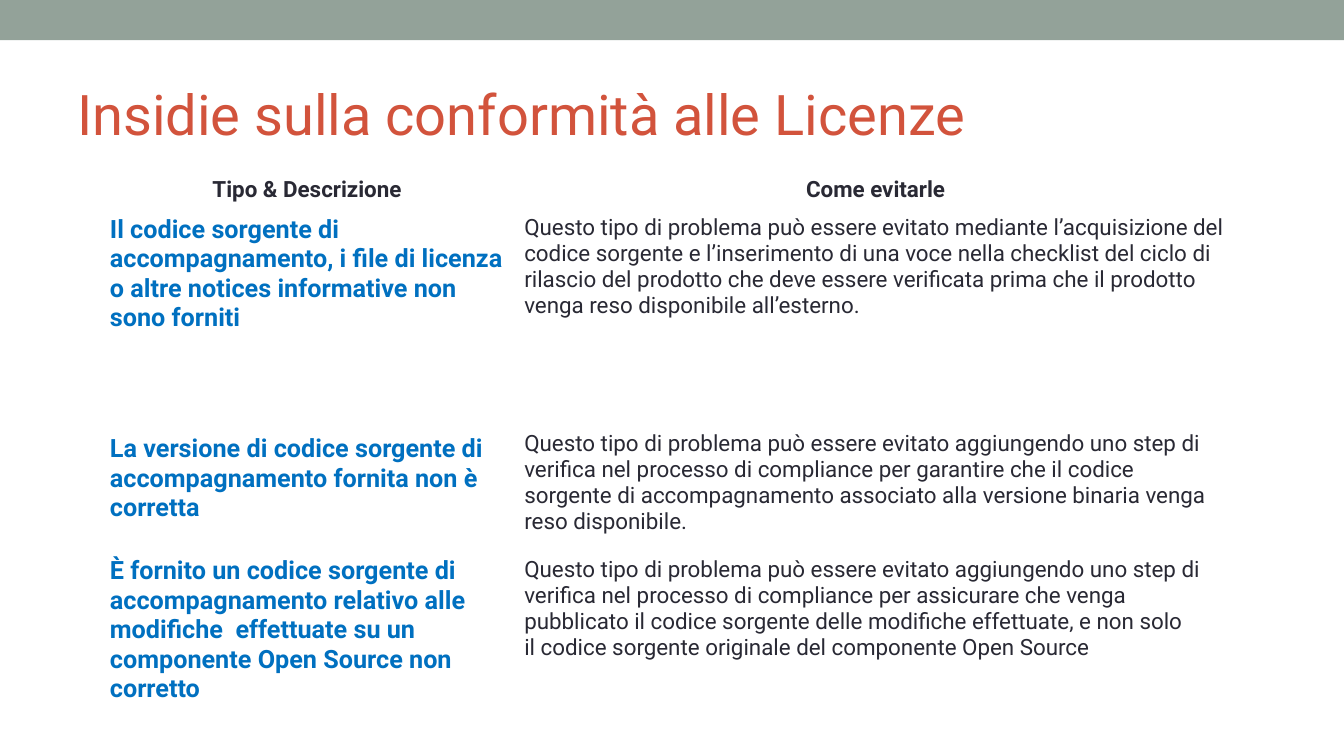
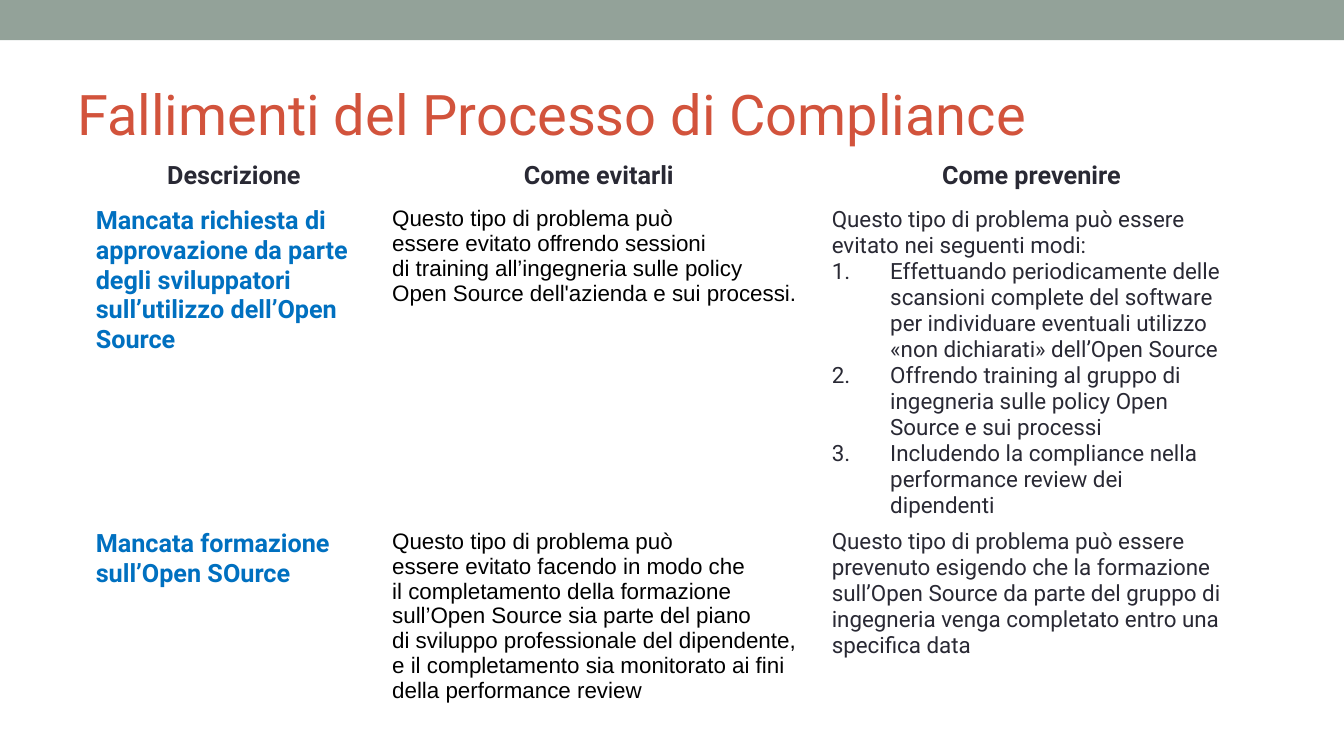
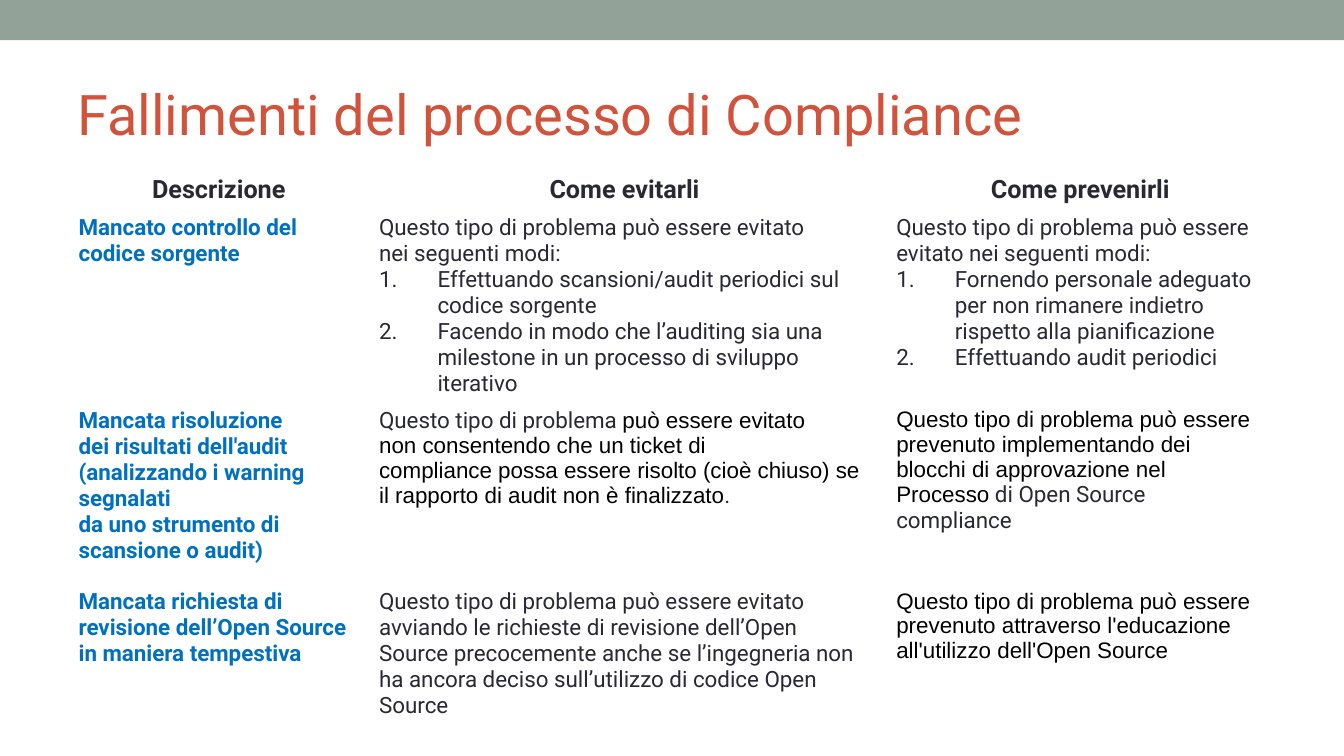
from lxml import etree
from pptx import Presentation
from pptx.dml.color import RGBColor
from pptx.enum.shapes import MSO_SHAPE
from pptx.enum.text import MSO_ANCHOR, PP_ALIGN
from pptx.oxml.ns import qn
from pptx.util import Inches, Pt

RECT = MSO_SHAPE.RECTANGLE
LEFT, CENTER = PP_ALIGN.LEFT, PP_ALIGN.CENTER
MIDDLE = MSO_ANCHOR.MIDDLE

W, H = 13.33, 7.5
WHITE, BAND, INK, RED, BLUE, BLACK = "FFFFFF", "93A299", "292934", "D2533C", "0070C0", "000000"

TITLE = dict(size=40, color=RED)
HEAD = dict(size=18, bold=True, align=CENTER)
HEAD_SMALL = dict(HEAD, size=16)
KEY = dict(size=18, bold=True, color=BLUE)
KEY_SMALL = dict(KEY, size=16)
BODY = dict()
ITEM = dict(numbered=True)
ARIAL = dict(font="Arial", color=BLACK)
ARIAL_JOIN = dict(ARIAL, join=True)
BODY_JOIN = dict(join=True)

PITFALLS = [
    [[("Tipo & Descrizione", HEAD_SMALL)], [("Come evitarle", HEAD_SMALL)]],
    [
        [("Il codice sorgente di accompagnamento, i file di licenza o altre notices informative non sono forniti", KEY)],
        [("Questo tipo di problema può essere evitato mediante l’acquisizione del codice sorgente e l’inserimento di una voce nella checklist del ciclo di rilascio del prodotto che deve essere verificata prima che il prodotto venga reso disponibile all’esterno.", BODY)],
    ],
    [
        [("La versione di codice sorgente di accompagnamento fornita non è corretta", KEY)],
        [("Questo tipo di problema può essere evitato aggiungendo uno step di verifica nel processo di compliance per garantire che il codice sorgente di accompagnamento associato alla versione binaria venga reso disponibile.", BODY)],
    ],
    [
        [("È fornito un codice sorgente di accompagnamento relativo alle modifiche  effettuate su un componente Open Source non corretto", KEY)],
        [("Questo tipo di problema può essere evitato aggiungendo uno step di\n"
          "verifica nel processo di compliance per assicurare che venga\n"
          "pubblicato il codice sorgente delle modifiche effettuate, e non solo\n"
          "il codice sorgente originale del componente Open Source", BODY)],
    ],
]

PROCESS_FAILURES = [
    [[("Descrizione", HEAD)], [("Come evitarli ", HEAD)], [("Come prevenire", HEAD)]],
    [
        [("Mancata richiesta di approvazione da parte degli sviluppatori sull’utilizzo dell’Open Source", KEY)],
        [("Questo tipo di problema può\n"
          "essere evitato offrendo sessioni\n"
          "di training all’ingegneria sulle policy\n"
          "Open Source dell'azienda e sui processi.", ARIAL)],
        [("Questo tipo di problema può essere\nevitato nei seguenti modi:", BODY),
         ("Effettuando periodicamente delle scansioni complete del software per individuare eventuali utilizzo «non dichiarati» dell’Open Source\n"
          "Offrendo training al gruppo di ingegneria sulle policy Open Source e sui processi\n"
          "Includendo la compliance nella performance review dei dipendenti", ITEM)],
    ],
    [
        [("Mancata formazione sull’Open SOurce", KEY)],
        [("Questo tipo di problema può\n"
          "essere evitato facendo in modo che\n"
          "il completamento della formazione\n"
          "sull’Open Source sia parte del piano\n"
          "di sviluppo professionale del dipendente,\n"
          "e il completamento sia monitorato ai fini\n"
          "della performance review", ARIAL)],
        [("Questo tipo di problema può essere\n"
          "prevenuto esigendo che la formazione\n"
          "sull’Open Source da parte del gruppo di\n"
          "ingegneria venga completato entro una\n"
          "specifica data", BODY)],
    ],
]

AUDIT_FAILURES = [
    [[("Descrizione", HEAD)], [("Come evitarli ", HEAD)], [("Come prevenirli", HEAD)]],
    [
        [("Mancato controllo del codice sorgente", KEY_SMALL)],
        [("Questo tipo di problema può essere evitato\nnei seguenti modi:", BODY),
         ("Effettuando scansioni/audit periodici sul codice sorgente\n"
          "Facendo in modo che l’auditing sia una milestone in un processo di sviluppo iterativo", ITEM)],
        [("Questo tipo di problema può essere\nevitato nei seguenti modi:", BODY),
         ("Fornendo personale adeguato per non rimanere indietro rispetto alla pianificazione\n"
          "Effettuando audit periodici", ITEM)],
    ],
    [
        [("Mancata risoluzione\n"
          "dei risultati dell'audit\n"
          "(analizzando i warning segnalati\n"
          "da uno strumento di scansione o audit)", KEY_SMALL)],
        [("Questo tipo di problema ", BODY),
         ("può essere evitato\n"
          "non consentendo che un ticket di\n"
          "compliance possa essere risolto (cioè chiuso) se\n"
          "il rapporto di audit non è finalizzato", ARIAL_JOIN),
         (".", BODY_JOIN)],
        [("Questo tipo di problema può essere\n"
          "prevenuto implementando dei\n"
          "blocchi di approvazione nel\n"
          "Processo", ARIAL),
         (" di Open Source\ncompliance", BODY_JOIN)],
    ],
    [
        [("Mancata richiesta di revisione dell’Open Source in maniera tempestiva", KEY_SMALL)],
        [("Questo tipo di problema può essere evitato\n"
          "avviando le richieste di revisione dell’Open\n"
          "Source precocemente anche se l’ingegneria non\n"
          "ha ancora deciso sull’utilizzo di codice Open\n"
          "Source", BODY)],
        [("Questo tipo di problema può essere prevenuto attraverso l'educazione all'utilizzo dell'Open Source", ARIAL)],
    ],
]


def rgb(value):
    return RGBColor.from_string(value)


def paint(fill, color):
    fill.solid()
    fill.fore_color.rgb = rgb(color)


def number(p, indent=0.58):
    pPr = p._p.get_or_add_pPr()
    pPr.set("marL", str(Inches(indent)))
    pPr.set("indent", str(-Inches(indent)))
    etree.SubElement(pPr, qn("a:buFont"), typeface="+mj-lt")
    etree.SubElement(pPr, qn("a:buAutoNum"), type="arabicPeriod")


def add_text(tf, text, size=16, color=INK, font="Roboto", bold=False,
             align=LEFT, numbered=False, join=False):
    for i, line in enumerate(text.split("\n")):
        p = tf.paragraphs[-1]
        if p.runs and (i or not join):
            p = tf.add_paragraph()
        if numbered:
            number(p)
        p.alignment = align
        r = p.add_run()
        r.text = line
        r.font.size, r.font.name, r.font.bold = Pt(size), font, bold
        r.font.color.rgb = rgb(color)


def add_band(s):
    band = s.shapes.add_shape(RECT, 0, 0, Inches(W), Inches(0.4))
    band.shadow.inherit = False
    paint(band.fill, BAND)
    band.line.fill.background()


def add_title(s, title):
    sp = s.shapes.title
    sp.left, sp.top = Inches(W * 0.05), Inches(0.58)
    sp.width, sp.height = Inches(W * 0.9), Inches(1.08)
    sp.text_frame.vertical_anchor = MIDDLE
    add_text(sp.text_frame, title, **TITLE)


def add_slide(prs, title):
    s = prs.slides.add_slide(prs.slide_layouts[5])
    add_band(s)
    add_title(s, title)
    return s


def add_grid(s, rows, left, top, widths, heights):
    frame = s.shapes.add_table(len(rows), len(widths), Inches(left), Inches(top),
                               Inches(sum(widths)), Inches(sum(heights)))
    table = frame.table
    table.first_row = table.horz_banding = False
    for column, width in zip(table.columns, widths):
        column.width = Inches(width)
    for row, height, contents in zip(table.rows, heights, rows):
        row.height = Inches(height)
        for cell, parts in zip(row.cells, contents):
            paint(cell.fill, WHITE)
            for text, fmt in parts:
                add_text(cell.text_frame, text, **fmt)
    return table


def main():
    prs = Presentation()
    prs.slide_width, prs.slide_height = Inches(W), Inches(H)

    s = add_slide(prs, "Insidie sulla conformità alle Licenze")
    table = add_grid(s, PITFALLS, 0.99, 1.7, [4.11, 7.17], [0.38, 1.89, 1.5, 1.81])
    for column, margin in enumerate([0.34, 0.3]):
        table.cell(2, column).margin_top = Inches(margin)

    s = add_slide(prs, "Fallimenti del Processo di Compliance")
    add_grid(s, PROCESS_FAILURES, 0.85, 1.55, [2.94, 4.36, 4.16], [0.45, 3.07, 2.18])

    s = add_slide(prs, "Fallimenti del processo di Compliance")
    add_grid(s, AUDIT_FAILURES, 0.68, 1.69, [2.98, 5.13, 3.85], [0.38, 1.85, 1.8, 1.34])

    prs.save("out.pptx")


if __name__ == "__main__":
    main()
